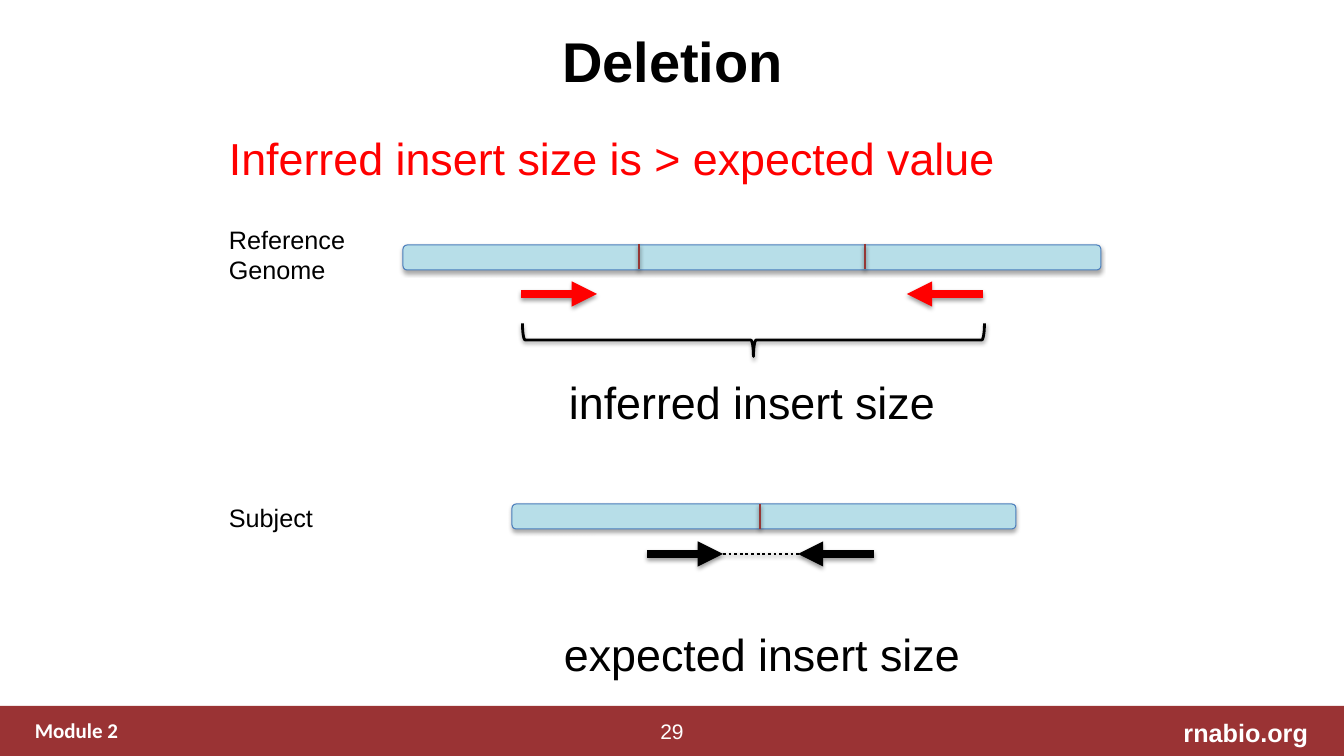
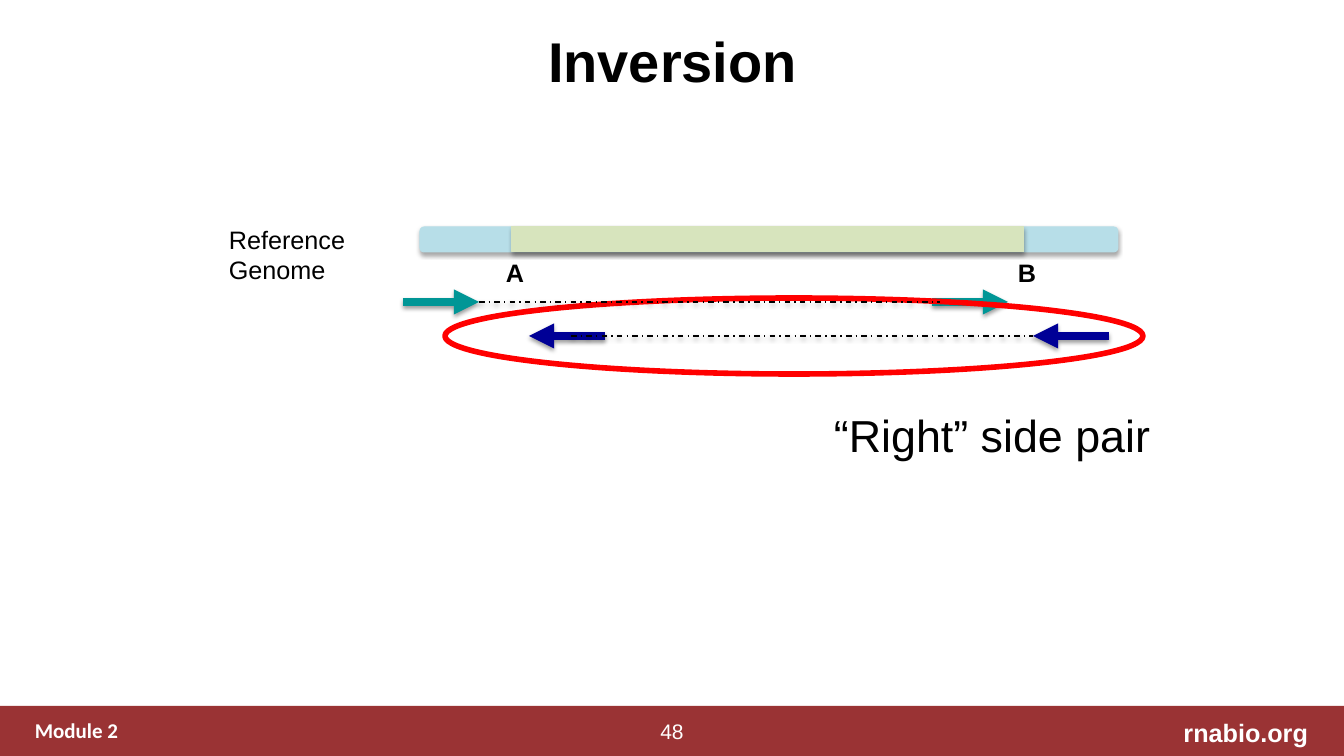
from lxml.etree import SubElement
from pptx import Presentation
from pptx.dml.color import RGBColor
from pptx.enum.dml import MSO_LINE
from pptx.enum.shapes import MSO_CONNECTOR, MSO_SHAPE
from pptx.enum.text import MSO_ANCHOR, PP_ALIGN
from pptx.oxml.ns import qn
from pptx.util import Emu, Pt

PX_PER_INCH = 100.8
WIDTH, HEIGHT = 1344, 756
LABEL_LEFT = 219
BAR_WIDTH, BAR_HEIGHT = 698, 25
READ_LENGTH = 76

BLACK = RGBColor(0x00, 0x00, 0x00)
WHITE = RGBColor(0xFF, 0xFF, 0xFF)
RED = RGBColor(0xFF, 0x00, 0x00)
MAROON = RGBColor(0x9A, 0x33, 0x34)
BREAKPOINT_RED = RGBColor(0x95, 0x37, 0x35)
PALE_BLUE = RGBColor(0xB7, 0xDE, 0xE8)
PALE_GREEN = RGBColor(0xD7, 0xE4, 0xBD)
OUTLINE_BLUE = RGBColor(0x4B, 0x7E, 0xBC)
TEAL = RGBColor(0x00, 0x96, 0x96)
NAVY = RGBColor(0x00, 0x00, 0x96)


def px(length):
    return Emu(round(length * 914400 / PX_PER_INCH))


def add_text(page, text, left, top, width, height, size=18, color=BLACK,
             bold=False, font="Arial", align=PP_ALIGN.LEFT,
             anchor=MSO_ANCHOR.TOP, wrap=True):
    box = page.shapes.add_textbox(px(left), px(top), px(width), px(height))
    frame = box.text_frame
    frame.word_wrap = wrap
    frame.vertical_anchor = anchor
    para = frame.paragraphs[0]
    para.text = text
    para.alignment = align
    para.font.name = font
    para.font.size = Pt(size)
    para.font.bold = bold
    para.font.color.rgb = color


def drop_shadow(effects, alpha, distance):
    """Fill an effect list with a soft shadow that falls straight down."""
    shadow = SubElement(effects, qn("a:outerShdw"), blurRad="40000",
                        dist=str(distance), dir="5400000", rotWithShape="0")
    color = SubElement(shadow, qn("a:srgbClr"), val=str(BLACK))
    SubElement(color, qn("a:alpha"), val=str(alpha * 1000))


def add_shape(page, kind, left, top, width, height, fill=None, line=None,
              weight=0.75, shadow=None):
    shape = page.shapes.add_shape(kind, px(left), px(top), px(width), px(height))
    shape.shadow.inherit = False
    if fill is None:
        shape.fill.background()
    else:
        shape.fill.solid()
        shape.fill.fore_color.rgb = fill
    if line is None:
        shape.line.fill.background()
    else:
        shape.line.color.rgb = line
        shape.line.width = Pt(weight)
    if shadow:
        drop_shadow(shape._element.spPr.find(qn("a:effectLst")), *shadow)
    return shape


def add_bar(page, left, top, width=BAR_WIDTH, fill=PALE_BLUE, line=PALE_BLUE,
            kind=MSO_SHAPE.ROUNDED_RECTANGLE):
    add_shape(page, kind, left, top, width, BAR_HEIGHT, fill, line,
              shadow=(35, 23000))


def add_line(page, x1, y1, x2, y2, color=BLACK, weight=2, dash=None, arrow=False):
    line = page.shapes.add_connector(MSO_CONNECTOR.STRAIGHT,
                                     px(x1), px(y1), px(x2), px(y2))
    line.line.color.rgb = color
    line.line.width = Pt(weight)
    if dash is not None:
        line.line.dash_style = dash
    properties = line._element.spPr
    if arrow:
        SubElement(properties.find(qn("a:ln")), qn("a:tailEnd"), type="triangle")
    drop_shadow(SubElement(properties, qn("a:effectLst")), 38, 20000)


def add_read(page, start, y, direction, color):
    """Draw a sequencing read; direction is 1 for forward, -1 for reverse."""
    add_line(page, start, y, start + direction * READ_LENGTH, y, color, 6, arrow=True)


def add_breakpoint(page, x, top):
    add_line(page, x, top, x, top + BAR_HEIGHT, BREAKPOINT_RED)


def add_reference_label(page):
    add_text(page, "Reference Genome", LABEL_LEFT, 219, 143, 72)


def add_page(deck, title, number):
    page = deck.slides.add_slide(deck.slide_layouts[6])
    # Footer band
    add_shape(page, MSO_SHAPE.RECTANGLE, 0, 706, WIDTH, HEIGHT - 706, MAROON)
    add_text(page, "Module 2", 25, 713, 986, 35, 15, WHITE, True, "Calibri")
    add_text(page, "rnabio.org", 971, 712, 347, 40, 18, WHITE, True,
             align=PP_ALIGN.RIGHT)
    add_text(page, number, 649, 714, 46, 35, 15, WHITE, align=PP_ALIGN.CENTER,
             anchor=MSO_ANCHOR.MIDDLE, wrap=False)
    # Title
    add_text(page, title, 185, -3, 975, 126, 40, bold=True,
             align=PP_ALIGN.CENTER, anchor=MSO_ANCHOR.MIDDLE)
    return page


def build_deletion(deck):
    page = add_page(deck, "Deletion", "29")
    add_text(page, "Inferred insert size is > expected value",
             LABEL_LEFT, 126, 865, 65, 32, RED)

    # Genome bars with their breakpoints
    add_reference_label(page)
    add_bar(page, 403, 245, line=OUTLINE_BLUE)
    add_text(page, "Subject", LABEL_LEFT, 497, 143, 40)
    add_bar(page, 512, 504, 504, line=OUTLINE_BLUE)
    for x, top in ((639, 244), (865, 244), (760, 504)):
        add_breakpoint(page, x, top)

    # Read pairs
    for forward, reverse, y, color in ((647, 874, 554, BLACK), (521, 983, 294, RED)):
        add_read(page, forward, y, 1, color)
        add_read(page, reverse, y, -1, color)
    add_line(page, 706, 554, 806, 554, dash=MSO_LINE.ROUND_DOT)

    # Insert sizes
    brace = add_shape(page, MSO_SHAPE.LEFT_BRACE, 737, 109, 33, 462,
                      line=BLACK, weight=2, shadow=(38, 20000))
    brace.rotation = 270
    add_text(page, "expected insert size", 554, 622, 420, 65, 32, wrap=False)
    add_text(page, "inferred insert size", 559, 370, 390, 65, 32, wrap=False)


def build_inversion(deck):
    page = add_page(deck, "Inversion", "48")

    # Genome bar with the inverted segment
    add_reference_label(page)
    add_bar(page, 420, 227)
    add_bar(page, 512, 227, 512, PALE_GREEN, PALE_GREEN, MSO_SHAPE.RECTANGLE)
    for name, left in (("A", 496), ("B", 1008)):
        add_text(page, name, left, 252, 38, 40, bold=True, wrap=False)

    # Read pairs
    for starts, y, direction, color in (((403, 932), 302, 1, TEAL),
                                        ((1109, 605), 336, -1, NAVY)):
        for start in starts:
            add_read(page, start, y, direction, color)

    # Highlighted pair
    add_text(page, "“Right” side pair", 824, 403, 340, 65, 32, wrap=False)
    add_shape(page, MSO_SHAPE.OVAL, 445, 298, BAR_WIDTH, 76, line=RED, weight=4)

    # Links between mates
    for x1, x2, y in ((479, 940, 302), (571, 1033, 336)):
        add_line(page, x1, y, x2, y, weight=1, dash=MSO_LINE.DASH_DOT)


def main():
    deck = Presentation()
    deck.slide_width, deck.slide_height = px(WIDTH), px(HEIGHT)
    build_deletion(deck)
    build_inversion(deck)
    deck.save("out.pptx")


if __name__ == "__main__":
    main()
